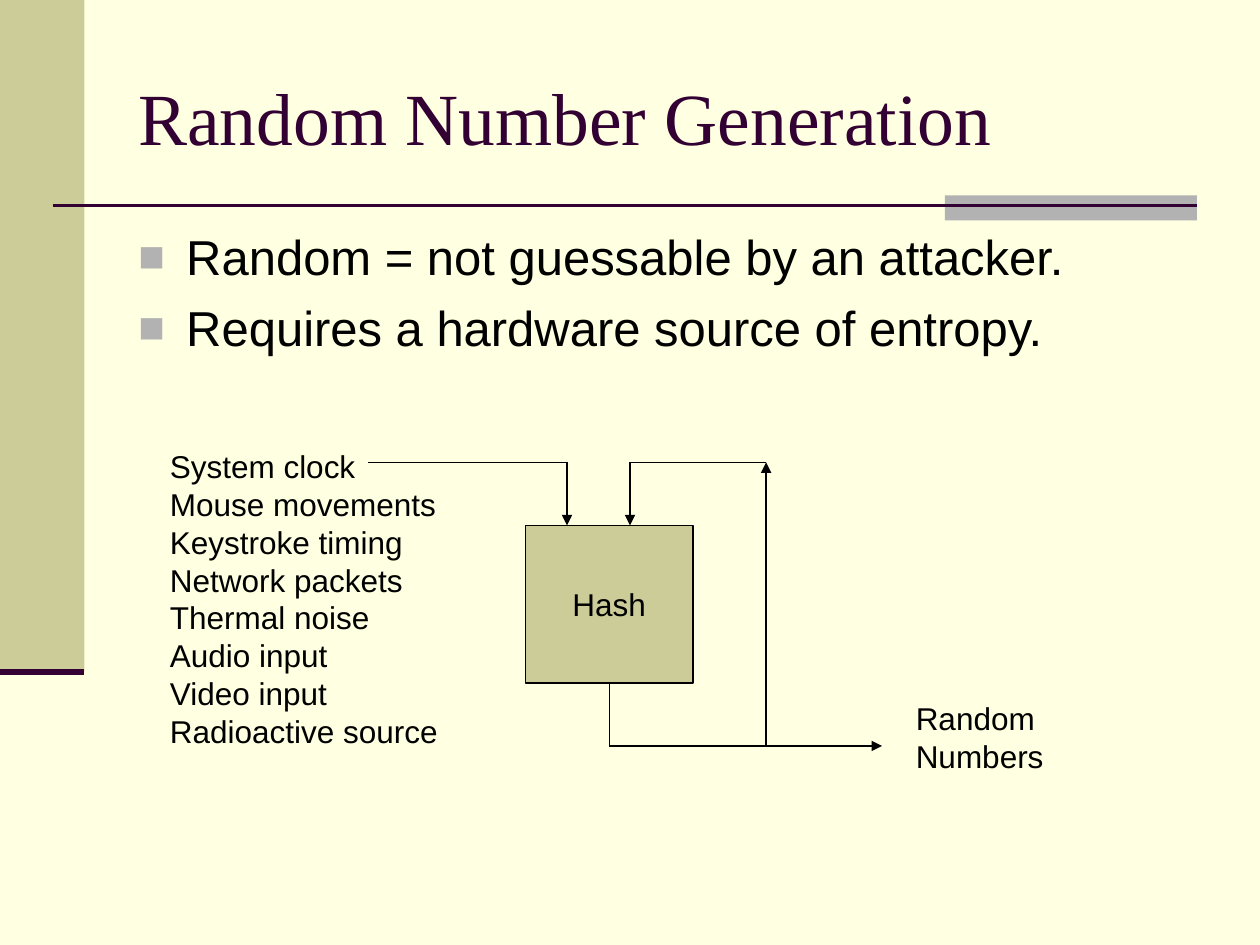
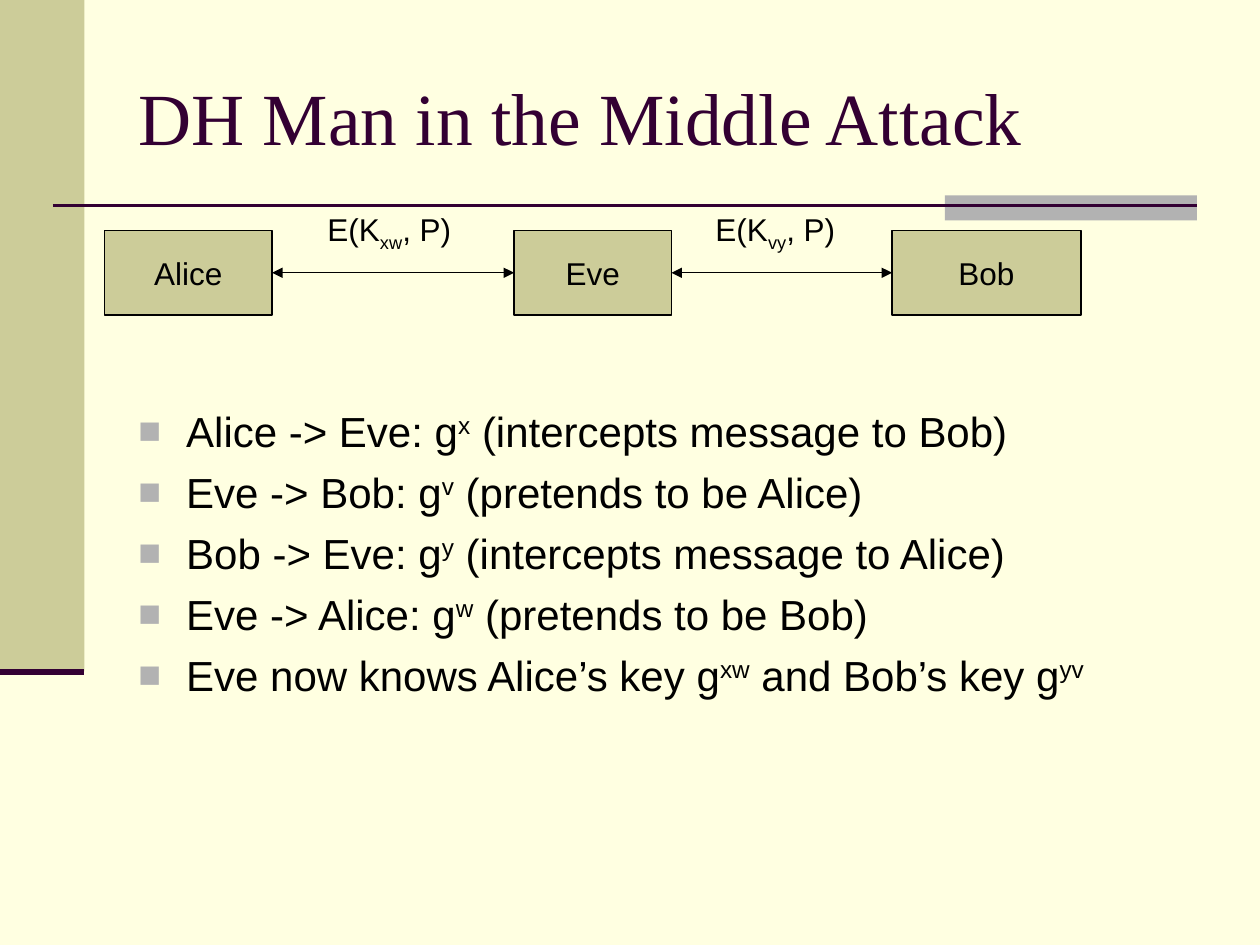
"""Build two slides on random number generation and the man in the middle attack."""
from dataclasses import dataclass
from itertools import pairwise

from lxml.etree import SubElement
from pptx import Presentation
from pptx.dml.color import RGBColor as RGB
from pptx.enum.shapes import MSO_CONNECTOR as CONN, MSO_SHAPE as SHAPE
from pptx.enum.text import MSO_ANCHOR as ANCHOR, MSO_AUTO_SIZE as FIT, PP_ALIGN as ALIGN
from pptx.oxml.ns import qn
from pptx.util import Inches, Pt


@dataclass(frozen=True)
class Theme:
    paper: str = "FFFFE1"
    olive: str = "CCCC99"
    grey: str = "B2B2B2"
    plum: str = "330033"
    ink: str = "000000"
    serif: str = "Times New Roman"
    sans: str = "Arial"
    title: int = 42
    label: int = 18
    thin: float = 0.74
    rule: float = 1.5
    heavy: float = 3.5


T = Theme()
SUP, SUB = 30, -25

RANDOM = {
    "title": "Random Number Generation",
    "size": 28,
    "top": 1.75,
    "bullets": [
        ["Random = not guessable by an attacker."],
        ["Requires a hardware source of entropy."],
    ],
}
SOURCES = ["System clock", "Mouse movements", "Keystroke timing", "Network packets",
           "Thermal noise", "Audio input", "Video input", "Radioactive source"]
OUTPUT = ["Random", "Numbers"]

ATTACK = {
    "title": "DH Man in the Middle Attack",
    "size": 24,
    "top": 3.17,
    "bullets": [
        ["Alice -> Eve: g", ("x", SUP), " (intercepts message to Bob)"],
        ["Eve -> Bob: g", ("v", SUP), " (pretends to be Alice)"],
        ["Bob -> Eve: g", ("y", SUP), " (intercepts message to Alice)"],
        ["Eve -> Alice: g", ("w", SUP), " (pretends to be Bob)"],
        ["Eve now knows Alice’s key g", ("xw", SUP), " and Bob’s key g", ("yv", SUP)],
    ],
}
PARTIES = [("Alice", 0.83, 1.33), ("Eve", 4.08, 1.25), ("Bob", 7.08, 1.5)]
KEYS = [("xw", 2.5), ("vy", 5.58)]


def write(tf, paragraphs, size, font=T.sans, color=T.ink):
    for i, runs in enumerate(paragraphs):
        p = tf.paragraphs[0] if i == 0 else tf.add_paragraph()
        for run in runs:
            text, base = (run, 0) if isinstance(run, str) else run
            r = p.add_run()
            r.text = text
            r.font.size, r.font.name = Pt(size), font
            r.font.color.rgb = RGB.from_string(color)
            if base:
                r._r.get_or_add_rPr().set("baseline", str(base * 1000))


def text_box(s, x, y, w, h, paragraphs, size, **style):
    tf = s.shapes.add_textbox(Inches(x), Inches(y), Inches(w), Inches(h)).text_frame
    tf.word_wrap = True
    write(tf, paragraphs, size, **style)
    return tf


def label(s, x, y, w, h, paragraphs):
    tf = text_box(s, x, y, w, h, paragraphs, T.label)
    tf.auto_size = FIT.SHAPE_TO_FIT_TEXT


def rect(s, x, y, w, h, fill):
    sp = s.shapes.add_shape(SHAPE.RECTANGLE, Inches(x), Inches(y), Inches(w), Inches(h))
    sp.shadow.inherit = False
    sp.fill.solid()
    sp.fill.fore_color.rgb = RGB.from_string(fill)
    sp.line.fill.background()
    return sp


def node(s, x, y, w, h, name):
    sp = rect(s, x, y, w, h, T.olive)
    sp.line.color.rgb = RGB.from_string(T.ink)
    sp.line.width = Pt(T.thin)
    tf = sp.text_frame
    tf.word_wrap = False
    tf.vertical_anchor = ANCHOR.MIDDLE
    write(tf, [[name]], T.label)
    tf.paragraphs[0].alignment = ALIGN.CENTER


def line(s, start, end, color=T.ink, width=T.thin, ends=()):
    c = s.shapes.add_connector(CONN.STRAIGHT, *map(Inches, (*start, *end)))
    c.line.color.rgb = RGB.from_string(color)
    c.line.width = Pt(width)
    for tag in ends:
        SubElement(c.line._get_or_add_ln(), qn(f"a:{tag}"), type="triangle")
    SubElement(c._element.spPr, qn("a:effectLst"))


def route(s, *points):
    legs = list(pairwise(points))
    for i, (start, end) in enumerate(legs, 1):
        line(s, start, end, ends=["tailEnd"] if i == len(legs) else [])


def bullet(p, size):
    p.space_before = Pt(size / 4)
    pPr = p._p.get_or_add_pPr()
    pPr.set("marL", str(Inches(0.38)))
    pPr.set("indent", str(-Inches(0.38)))
    SubElement(SubElement(pPr, qn("a:buClr")), qn("a:srgbClr"), val=T.grey)
    SubElement(pPr, qn("a:buSzPct"), val="90000")
    SubElement(pPr, qn("a:buFont"), typeface=T.sans)
    SubElement(pPr, qn("a:buChar"), char="■")


def new_slide(prs, content):
    s = prs.slides.add_slide(prs.slide_layouts[6])
    rect(s, 0, 0, 0.67, 5.33, T.olive)
    rect(s, 7.5, 1.55, 2, 0.2, T.grey)
    line(s, (0.42, 1.63), (9.5, 1.63), T.plum, T.rule)
    line(s, (0, 5.33), (0.67, 5.33), T.plum, T.heavy)
    tf = text_box(s, 1, 0.3, 8.5, 1.25, [[content["title"]]], T.title,
                  font=T.serif, color=T.plum)
    tf.vertical_anchor = ANCHOR.MIDDLE
    top, size = content["top"], content["size"]
    tf = text_box(s, 1, top, 8.5, 6.7 - top, content["bullets"], size)
    for p in tf.paragraphs:
        bullet(p, size)
    return s


def random_slide(prs):
    s = new_slide(prs, RANDOM)
    left, top, w, h = 4.17, 4.17, 1.33, 1.25
    high, low, feedback = top - 0.5, top + h + 0.5, 6.08
    mid = left + w / 2
    node(s, left, top, w, h, "Hash")
    route(s, (mid, top + h), (mid, low), (7, low))
    route(s, (feedback, low), (feedback, high))
    route(s, (feedback, high), (5, high), (5, top))
    route(s, (2.92, high), (4.5, high), (4.5, top))
    label(s, 7.17, 5.5, 1.3, 0.7, [[t] for t in OUTPUT])
    label(s, 1.25, 3.5, 2.4, 2.5, [[t] for t in SOURCES])


def attack_slide(prs):
    s = new_slide(prs, ATTACK)
    top, h = 1.83, 0.67
    mid = top + h / 2
    for name, x, w in PARTIES:
        node(s, x, top, w, h, name)
    for (_, x, w), (_, following, _) in pairwise(PARTIES):
        line(s, (x + w, mid), (following, mid), ends=["headEnd", "tailEnd"])
    for key, x in KEYS:
        label(s, x, 1.62, 1.25, 0.44, [["E(K", (key, SUB), ", P)"]])


prs = Presentation()
prs.slide_width, prs.slide_height = Inches(10), Inches(7.5)
fill = prs.slide_master.background.fill
fill.solid()
fill.fore_color.rgb = RGB.from_string(T.paper)
random_slide(prs)
attack_slide(prs)
prs.save("out.pptx")
